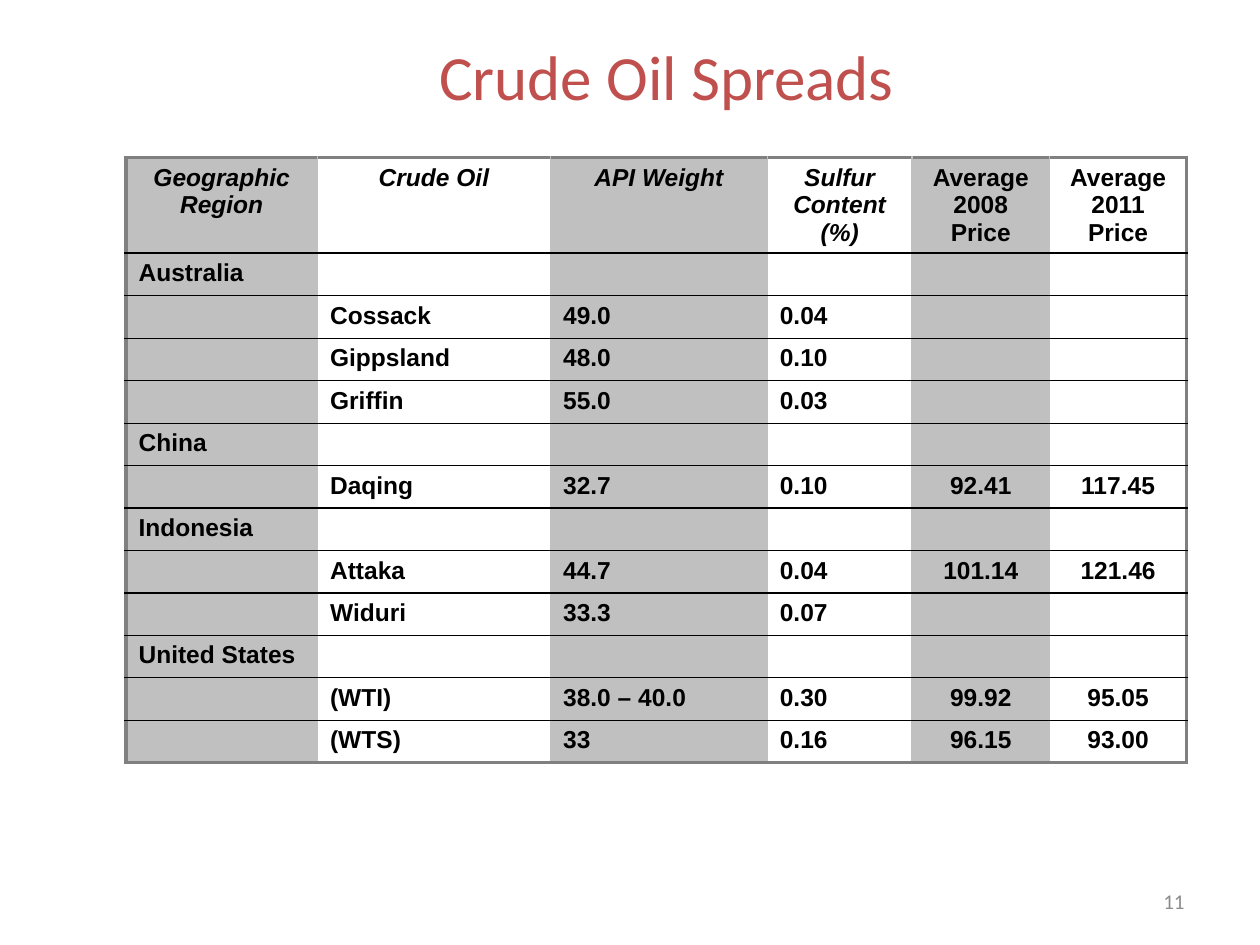
from dataclasses import dataclass

from lxml import etree
from pptx import Presentation
from pptx.dml.color import RGBColor
from pptx.enum import text
from pptx.oxml import ns
from pptx.util import Inches, Pt

TITLE = "Crude Oil Spreads"
PAGE = "11"
HEADS = ["Geographic\nRegion", "Crude Oil", "API Weight", "Sulfur\nContent\n(%)",
         "Average\n2008\nPrice", "Average\n2011\nPrice"]
REGIONS = {
    "Australia": [
        ("Cossack", "49.0", "0.04", "", ""),
        ("Gippsland", "48.0", "0.10", "", ""),
        ("Griffin", "55.0", "0.03", "", ""),
    ],
    "China": [("Daqing", "32.7", "0.10", "92.41", "117.45")],
    "Indonesia": [
        ("Attaka", "44.7", "0.04", "101.14", "121.46"),
        ("Widuri", "33.3", "0.07", "", ""),
    ],
    "United States": [
        ("(WTI)", "38.0 – 40.0", "0.30", "99.92", "95.05"),
        ("(WTS)", "33", "0.16", "96.15", "93.00"),
    ],
}
WIDTHS = [1.52, 1.85, 1.72, 1.15, 1.09, 1.09]
HEAD_H, ROW_H = 0.76, 0.32
HANG = 0.38
PRICE_COL = 4  # prices start here: centred values, upright heads


@dataclass
class Theme:
    head: str = "Calibri"
    body: str = "Arial"
    red: str = "C0504D"
    black: str = "000000"
    band: str = "C0C0C0"
    frame: str = "808080"
    faint: str = "8C8C8C"
    title: int = 36
    cell: int = 14
    page: int = 12


T = Theme()


def style(par, name, size, color, align):
    par.alignment = align
    for run in par.runs:
        font = run.font
        font.name, font.size = name, Pt(size)
        font.color.rgb = RGBColor.from_string(color)


def edge(cell, side, color, width):
    props = cell._tc.get_or_add_tcPr()
    line = etree.SubElement(props, ns.qn(f"a:ln{side}"), w=str(Pt(width)))
    fill = etree.SubElement(line, ns.qn("a:solidFill"))
    etree.SubElement(fill, ns.qn("a:srgbClr"), val=color)


def rule(cell, row, col, last):
    """Draw the grid lines of a cell, with a heavy frame at the table's rim."""
    rim, side = (T.frame, 2), (T.band, 1)
    thick, thin = (T.black, 1), (T.black, 0.75)
    edge(cell, "L", *(rim if col == 0 else side))
    edge(cell, "R", *(rim if col == len(WIDTHS) - 1 else side))
    edge(cell, "T", *(rim if row == 0 else thick if row == 1 else thin))
    edge(cell, "B", *(rim if row == last else thick if row == 0 else thin))


def write(cell, words, row, col):
    cell.text_frame.text = words
    mid = row == 0 or col >= PRICE_COL
    align = text.PP_ALIGN.CENTER if mid else text.PP_ALIGN.LEFT
    for par in cell.text_frame.paragraphs:
        style(par, T.body, T.cell, T.black, align)
        props = par._p.get_or_add_pPr()
        props.set("marL", str(Inches(HANG)))
        props.set("indent", str(-Inches(HANG)))
        for run in par.runs:
            run.font.bold = True
            run.font.italic = row == 0 and col < PRICE_COL
        if not par.runs:  # keeps empty cells from stretching the row
            etree.SubElement(par._p, ns.qn("a:endParaRPr"), sz=str(T.cell * 100))


def add_grid(slide):
    rows = [HEADS]
    for region, oils in REGIONS.items():
        rows.append([region] + [""] * (len(HEADS) - 1))
        rows += [["", *oil] for oil in oils]
    last = len(rows) - 1
    grid = slide.shapes.add_table(
        len(rows), len(HEADS), Inches(1), Inches(1.25),
        Inches(sum(WIDTHS)), Inches(HEAD_H + last * ROW_H)).table
    grid.first_row = grid.horz_banding = False
    for col, width in enumerate(WIDTHS):
        grid.columns[col].width = Inches(width)
    for row, words in enumerate(rows):
        grid.rows[row].height = Inches(ROW_H if row else HEAD_H)
        for col, word in enumerate(words):
            cell = grid.cell(row, col)
            write(cell, word, row, col)
            rule(cell, row, col, last)
            if col % 2 == 0:
                cell.fill.solid()
                cell.fill.fore_color.rgb = RGBColor.from_string(T.band)
            else:
                cell.fill.background()


def place(shape, left, top, width, height):
    shape.left, shape.top = Inches(left), Inches(top)
    shape.width, shape.height = Inches(width), Inches(height)


def main():
    deck = Presentation()
    deck.slide_width, deck.slide_height = Inches(10), Inches(7.5)
    slide = deck.slides.add_slide(deck.slide_layouts[5])

    title = slide.shapes.title
    place(title, 1.58, 0.25, 7.42, 0.7)
    title.text_frame.text = TITLE
    title.text_frame.vertical_anchor = text.MSO_ANCHOR.MIDDLE
    style(title.text_frame.paragraphs[0], T.head, T.title, T.red,
          text.PP_ALIGN.CENTER)

    add_grid(slide)

    page = slide.shapes.add_textbox(0, 0, 0, 0)
    place(page, 7.17, 6.95, 2.33, 0.4)
    frame = page.text_frame
    frame.word_wrap = True
    frame.vertical_anchor = text.MSO_ANCHOR.MIDDLE
    frame.text = PAGE
    style(frame.paragraphs[0], T.head, T.page, T.faint, text.PP_ALIGN.RIGHT)

    deck.save("out.pptx")


if __name__ == "__main__":
    main()
